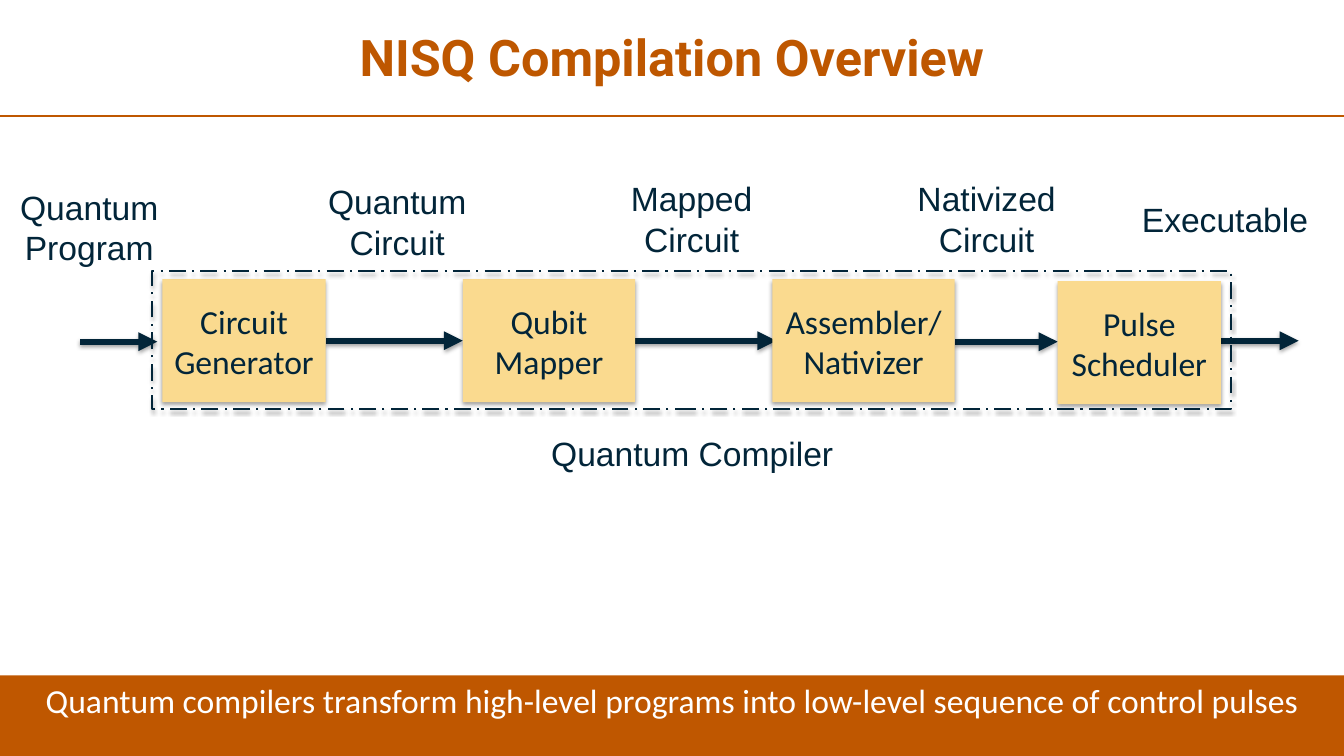
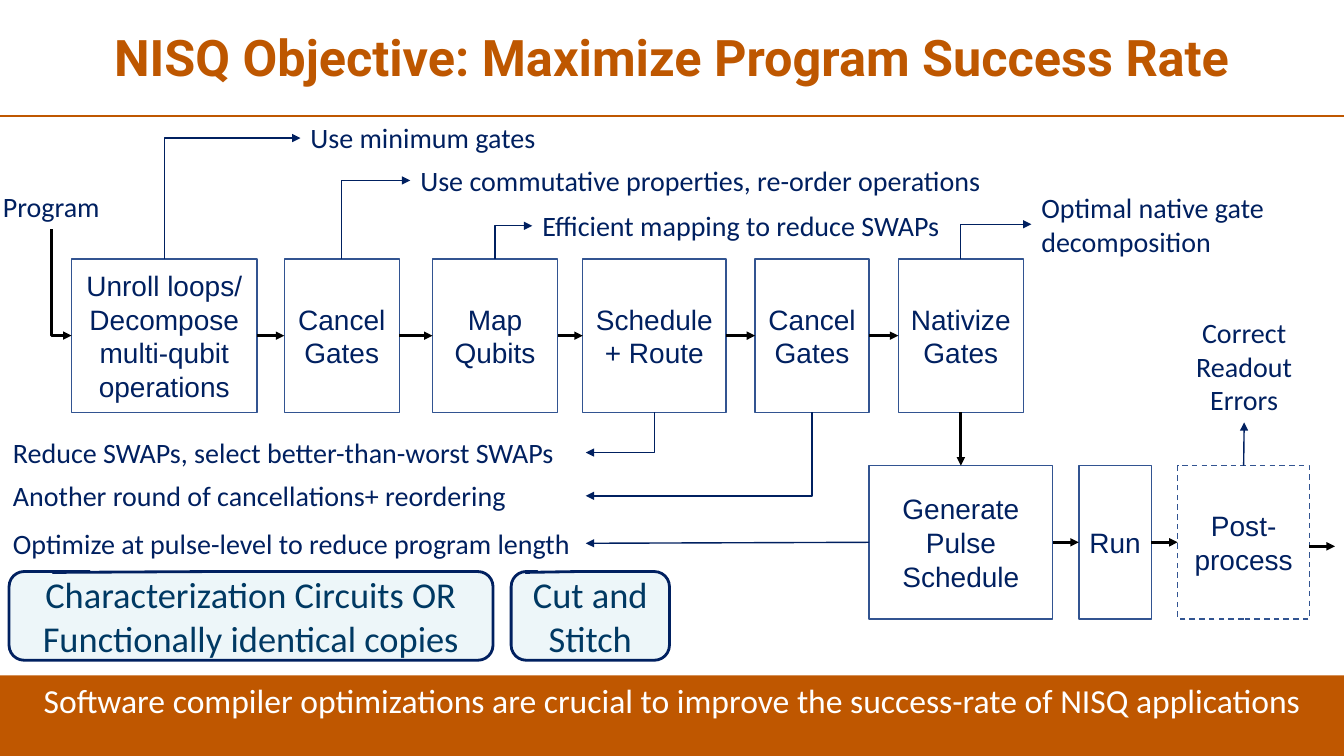
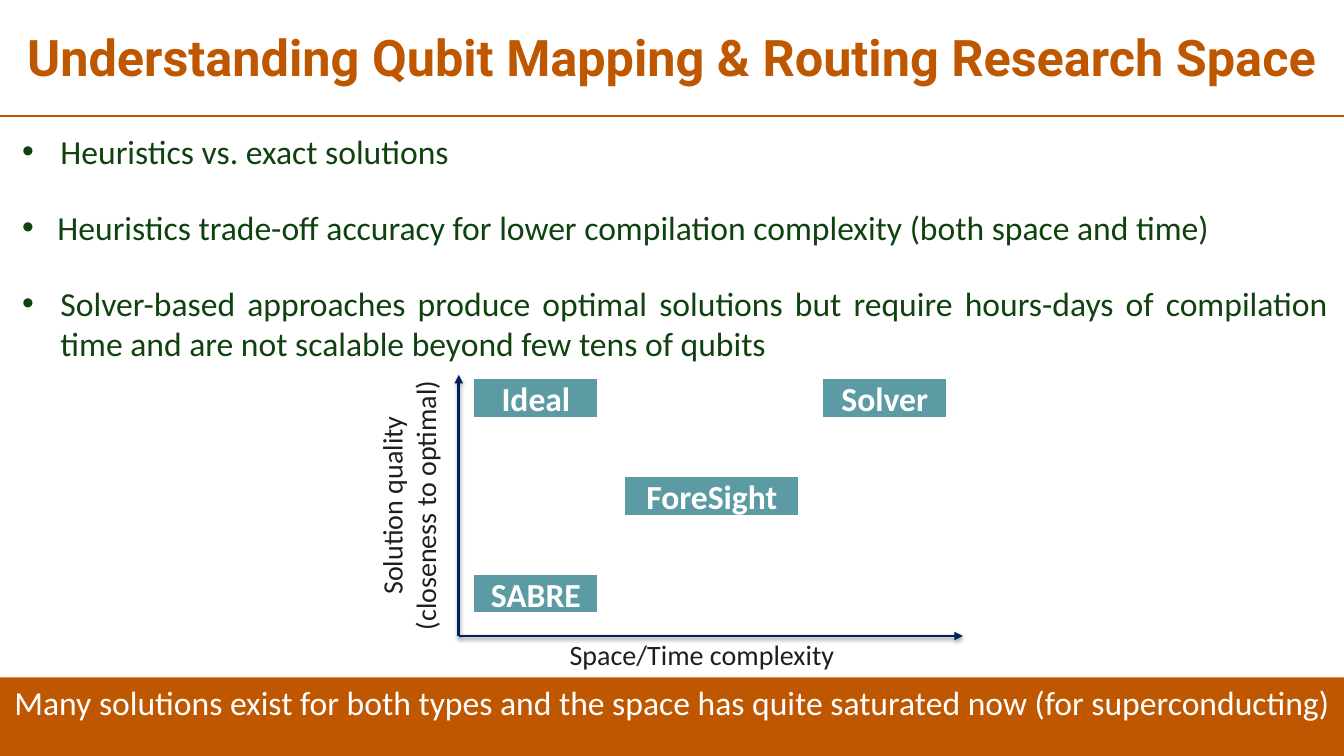
from lxml import etree
from pptx import Presentation
from pptx import util as u
from pptx.dml.color import RGBColor
from pptx.enum import dml, shapes, text
from pptx.oxml.ns import qn

COLORS = {
    "title": "BE5700", "band": "BF5700", "white": "FFFFFF", "black": "000000",
    "ink": "022539", "stage": "FADA8F", "navy": "002060", "outline": "325491",
    "callout": "EDF6F9", "callout_text": "003963", "bullet": "104210",
    "axis_text": "1A1F24", "method": "5C9BA4",
}
RGB = {name: RGBColor.from_string(value) for name, value in COLORS.items()}
RECT = shapes.MSO_SHAPE.RECTANGLE
CALLOUT = shapes.MSO_SHAPE.ROUNDED_RECTANGULAR_CALLOUT
CENTER, LEFT = text.PP_ALIGN.CENTER, text.PP_ALIGN.LEFT
TOP, MIDDLE = text.MSO_ANCHOR.TOP, text.MSO_ANCHOR.MIDDLE


def box(slide, at, words, size, color, font="Calibri", geometry=None, fill=None,
        line=None, width=1, align=CENTER, anchor=MIDDLE, bold=False):
    """Add a preset shape, or a plain text box when no geometry is given."""
    place = [u.Inches(v) for v in at]
    if geometry is None:
        item = slide.shapes.add_textbox(*place)
    else:
        item = slide.shapes.add_shape(geometry, *place)
        item.shadow.inherit = False
        if fill:
            item.fill.solid()
            item.fill.fore_color.rgb = RGB[fill]
        else:
            item.fill.background()
        if line:
            item.line.color.rgb = RGB[line]
            item.line.width = u.Pt(width)
        else:
            item.line.fill.background()
    frame = item.text_frame
    frame.word_wrap = True
    frame.vertical_anchor = anchor
    frame.text = words
    for paragraph in frame.paragraphs:
        paragraph.alignment = align
        paragraph.font.name = font
        paragraph.font.size = u.Pt(size)
        paragraph.font.bold = bold
        paragraph.font.color.rgb = RGB[color]
    return item


def arrow(slide, tip, origin, color, width, head=True):
    """Join two points, or two (shape, site) pairs; the head sits at the tip."""
    glued = not isinstance(tip[0], (int, float))
    ends = (0, 0, 0, 0) if glued else tip + origin
    item = slide.shapes.add_connector(shapes.MSO_CONNECTOR.STRAIGHT,
                                      *[u.Inches(v) for v in ends])
    if glued:
        item.begin_connect(*tip)
        item.end_connect(*origin)
    item.line.color.rgb = RGB[color]
    item.line.width = u.Pt(width)
    props = item._element.spPr
    if head:
        etree.SubElement(props.find(qn("a:ln")), qn("a:headEnd"), type="triangle")
    etree.SubElement(props, qn("a:effectLst"))
    return item


deck = Presentation()
deck.slide_width, deck.slide_height = u.Inches(13.33), u.Inches(7.5)

# Shared frame: title, rule and bottom band
pages = []
for layout, title, message, band_top in (
    (5, "NISQ Compilation Overview",
     "Quantum compilers transform high-level programs into low-level sequence of control pulses", 6.7),
    (5, "NISQ Objective: Maximize Program Success Rate",
     "Software compiler optimizations are crucial to improve the success-rate of NISQ applications", 6.7),
    (1, "Understanding Qubit Mapping & Routing Research Space",
     "Many solutions exist for both types and the space has quite saturated now (for superconducting)", 6.72),
):
    page = deck.slides.add_slide(deck.slide_layouts[layout])
    heading = page.shapes.title
    heading.left, heading.top, heading.width, heading.height = [
        u.Inches(v) for v in (0.09, 0.04, 13.15, 1.11)]
    heading.text_frame.text = title
    heading.text_frame.auto_size = text.MSO_AUTO_SIZE.NONE
    heading.text_frame.vertical_anchor = MIDDLE
    line = heading.text_frame.paragraphs[0]
    line.alignment, line.line_spacing = CENTER, 0.9
    line.font.name, line.font.size, line.font.bold = "Roboto", u.Pt(36), True
    line.font.color.rgb = RGB["title"]
    arrow(page, (0, 1.15), (13.33, 1.15), "band", 1.5, head=False)
    box(page, (0, band_top, 13.33, 7.5 - band_top), message, 24, "white",
        geometry=RECT, fill="band", anchor=TOP)
    pages.append(page)
overview, objective, research = pages
shadowed = []

# Overview: flow arrows
for start, end, y in ((0.79, 1.56, 3.39), (3.23, 4.59, 3.38), (6.3, 7.7, 3.38),
                      (9.47, 10.49, 3.39), (12.11, 12.88, 3.38)):
    shadowed.append(arrow(overview, (end, y), (start, y), "ink", 4.5))

# Overview: compiler stages inside their frame
for left, top, width, stage in ((1.61, 2.77, 1.62, "Circuit\nGenerator"),
                                (4.59, 2.77, 1.71, "Qubit\nMapper"),
                                (7.66, 2.77, 1.81, "Assembler/Nativizer"),
                                (10.49, 2.79, 1.62, "Pulse\nScheduler")):
    shadowed.append(box(overview, (left, top, width, 1.22), stage, 24, "ink",
                        geometry=RECT, fill="stage"))
compiler = box(overview, (1.51, 2.69, 10.7, 1.37), "", 24, "ink",
               geometry=RECT, line="ink", width=1.5)
compiler.line.dash_style = dml.MSO_LINE.LONG_DASH_DOT
shadowed.append(compiler)

# Overview: what passes between the stages
for left, top, width, height, product in (
    (0.09, 1.8, 1.59, 0.91, "Quantum\nProgram"),
    (2.91, 1.75, 2.06, 0.91, "Quantum\nCircuit"),
    (6.08, 1.72, 1.56, 0.91, "Mapped\nCircuit"),
    (8.88, 1.72, 1.81, 0.91, "Nativized\nCircuit"),
    (11.12, 1.92, 2.06, 0.5, "Executable"),
    (5.35, 4.25, 3.03, 0.5, "Quantum Compiler"),
):
    box(overview, (left, top, width, height), product, 24, "ink", font="Arial", anchor=TOP)

# Objective: two rows of steps
steps = []
for left, top, width, step in (
    (0.71, 2.57, 1.84, "Unroll loops/ Decompose multi-qubit operations"),
    (2.82, 2.57, 1.14, "Cancel\nGates"),
    (4.29, 2.57, 1.24, "Map\nQubits"),
    (5.78, 2.57, 1.42, "Schedule + Route"),
    (7.49, 2.57, 1.13, "Cancel\nGates"),
    (8.91, 2.57, 1.24, "Nativize\nGates"),
    (8.62, 4.62, 1.82, "Generate Pulse Schedule"),
    (10.7, 4.62, 0.72, "Run"),
    (11.68, 4.62, 1.31, "Post-process"),
):
    steps.append(box(objective, (left, top, width, 1.52), step, 20, "navy", font="Arial",
                     geometry=RECT, fill="white", line="outline"))
unroll, cancel, place, route, recancel, nativize, pulse, run, post = steps
post.line.dash_style = dml.MSO_LINE.DASH

# Objective: notes on the steps
notes = []
for left, top, width, height, align, note in (
    (-0.07, 1.83, 1.17, 0.44, LEFT, "Program"),
    (2.98, 1.15, 2.46, 0.44, LEFT, "Use minimum gates"),
    (4.07, 1.57, 5.82, 0.44, LEFT, "Use commutative properties, re-order operations"),
    (5.28, 2.02, 4.18, 0.44, LEFT, "Efficient mapping to reduce SWAPs"),
    (10.23, 1.84, 2.9, 0.77, LEFT, "Optimal native gate decomposition"),
    (0.03, 4.27, 5.78, 0.44, LEFT, "Reduce SWAPs, select better-than-worst SWAPs"),
    (0.03, 4.7, 5.78, 0.44, LEFT, "Another round of cancellations+ reordering"),
    (0.03, 5.17, 5.78, 0.44, LEFT, "Optimize at pulse-level to reduce program length"),
    (11.66, 3.08, 1.36, 1.11, CENTER, "Correct Readout Errors"),
):
    notes.append(box(objective, (left, top, width, height), note, 20, "navy",
                     align=align, anchor=TOP))
(program, minimum, commute, mapping, native, fewer_swaps,
 reorder, shorten, readout) = notes

# Objective: arrows between steps (sites: 0 top, 1 left, 2 bottom, 3 right)
for before, after in zip(steps, steps[1:]):
    sites = (0, 2) if after is pulse else (1, 3)
    arrow(objective, (after, sites[0]), (before, sites[1]), "black", 2)
arrow(objective, (13.24, 5.42), (12.98, 5.42), "black", 2)

# Objective: arrows to the notes, level at the tip and upright at the origin
arrow(objective, (shorten, 3), (pulse, 1), "navy", 1)
arrow(objective, (readout, 2), (post, 0), "navy", 1)
for tip, origin, color, width in (
    ((unroll, 1), (program, 2), "black", 2),
    ((minimum, 1), (unroll, 0), "navy", 1),
    ((commute, 1), (cancel, 0), "navy", 1),
    ((mapping, 1), (place, 0), "navy", 1),
    ((native, 1), (nativize, 0), "navy", 1),
    ((fewer_swaps, 3), (route, 2), "navy", 1),
    ((reorder, 3), (recancel, 2), "navy", 1),
):
    bend = arrow(objective, tip, origin, color, width)
    bend._element.spPr.find(qn("a:prstGeom")).set("prst", "bentConnector2")

# Objective: callouts
for left, width, remark in (
    (0.09, 4.8, "Characterization Circuits OR Functionally identical copies"),
    (5.07, 1.57, "Cut and Stitch"),
):
    callout = box(objective, (left, 5.67, width, 0.88), remark, 26, "callout_text",
                  geometry=CALLOUT, fill="callout", line="navy", width=2)
    for index, value in enumerate((-0.41, -0.49, 0.17)):
        callout.adjustments[index] = value

# Research: bullet list
points = research.placeholders[1]
points.left, points.top, points.width, points.height = [
    u.Inches(v) for v in (0.12, 1.25, 13.15, 2.43)]
points.text_frame.auto_size = text.MSO_AUTO_SIZE.NONE
points.text_frame.text = "\n".join((
    "Heuristics vs. exact solutions",
    "Heuristics trade-off accuracy for lower compilation complexity (both space and time)",
    "Solver-based approaches produce optimal solutions but require hours-days of "
    "compilation time and are not scalable beyond few tens of qubits",
))
for point, margin in zip(points.text_frame.paragraphs, (0.38, 0.35, 0.38)):
    point.alignment = text.PP_ALIGN.JUSTIFY
    point.space_before, point.space_after = u.Pt(0), u.Pt(25.4)
    point.font.name, point.font.size = "Calibri", u.Pt(24)
    point.font.color.rgb = RGB["bullet"]
    point._p.get_or_add_pPr().set("marL", str(u.Inches(margin)))
    point._p.get_or_add_pPr().set("indent", str(u.Inches(-0.38)))

# Research: axes with their labels
for tip in ((9.55, 6.31), (4.55, 3.72)):
    shadowed.append(arrow(research, tip, (4.55, 6.31), "navy", 2))
box(research, (5.55, 6.28, 3.22, 0.44), "Space/Time complexity", 20, "axis_text",
    align=LEFT, anchor=TOP)
quality = box(research, (2.44, 4.63, 3.22, 0.77), "Solution quality\n(closeness to optimal)",
              20, "axis_text", anchor=TOP)
quality.rotation = 270

# Research: methods placed on the axes
for left, top, width, method in ((4.69, 5.69, 1.25, "SABRE"), (8.15, 3.75, 1.25, "Solver"),
                                 (4.69, 3.75, 1.25, "Ideal"), (6.19, 4.72, 1.74, "ForeSight")):
    box(research, (left, top, width, 0.4), method, 24, "white", geometry=RECT,
        fill="method", line="white", width=2, bold=True)

# Soft shadows below the raised parts
for raised in shadowed:
    effects = raised._element.spPr.find(qn("a:effectLst"))
    shade = etree.SubElement(effects, qn("a:outerShdw"), blurRad=str(u.Pt(3.1)),
                             dist=str(u.Pt(1.7)), dir="5400000", rotWithShape="0")
    tint = etree.SubElement(shade, qn("a:srgbClr"), val=COLORS["black"])
    etree.SubElement(tint, qn("a:alpha"), val="36000")

deck.save("out.pptx")
